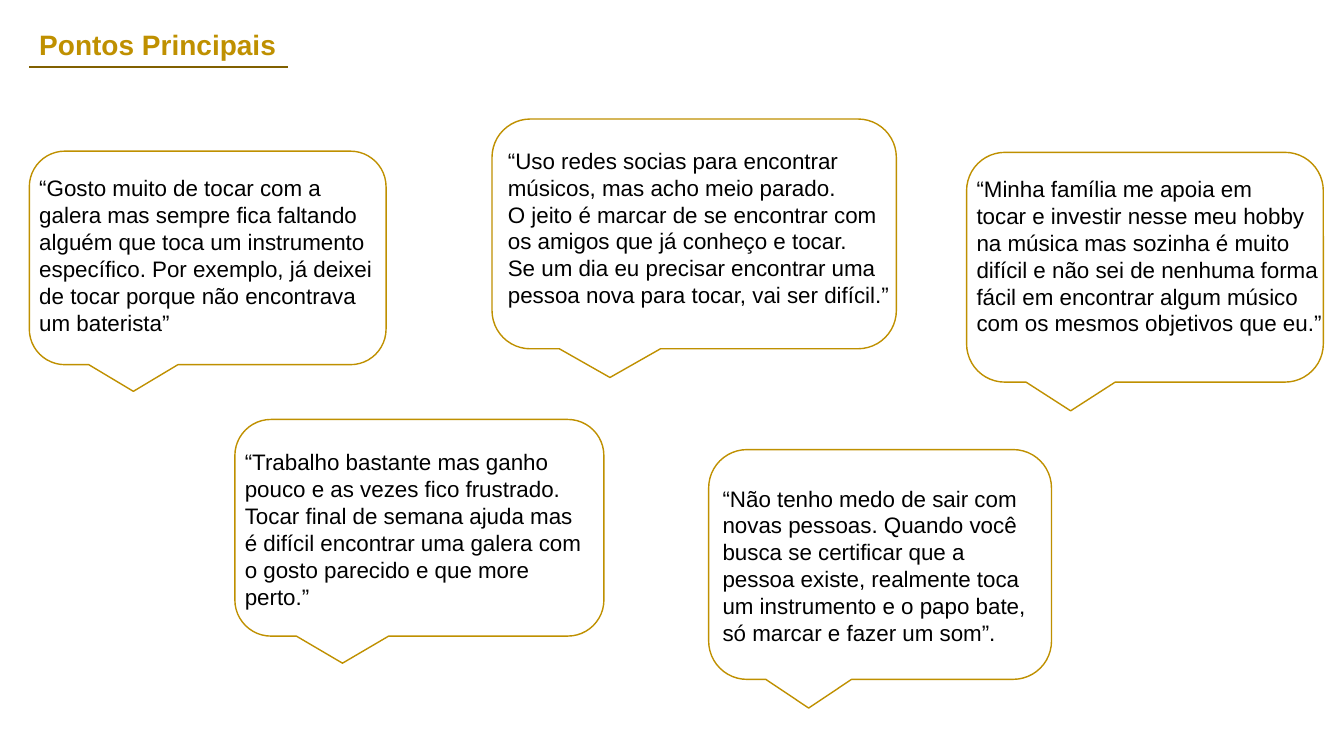
from lxml import etree
from pptx import Presentation
from pptx.dml.color import RGBColor
from pptx.enum.shapes import MSO_CONNECTOR, MSO_SHAPE
from pptx.enum.text import MSO_AUTO_SIZE
from pptx.oxml.ns import qn
from pptx.util import Cm, Pt

CALLOUT = MSO_SHAPE.ROUNDED_RECTANGULAR_CALLOUT
STRAIGHT = MSO_CONNECTOR.STRAIGHT
GROW = MSO_AUTO_SIZE.SHAPE_TO_FIT_TEXT

GOLD = "BF9000"
DARK_GOLD = "806000"
BLACK = "000000"
QUOTE_HEIGHT = 4.37

# Bubble (left, top, width, height), quote (left, top, width), wraps, text
QUOTES = [
    ((0.74, 3.81, 8.99, 5.38), (0.74, 4.27, 8.99), False,
     "“Gosto muito de tocar com a\n"
     "galera mas sempre fica faltando\n"
     "alguém que toca um instrumento\n"
     "específico. Por exemplo, já deixei\n"
     "de tocar porque não encontrava\n"
     "um baterista”"),
    ((5.92, 10.57, 9.3, 5.46), (5.92, 11.18, 9.3), True,
     "“Trabalho bastante mas ganho\n"
     "pouco e as vezes fico frustrado.\n"
     "Tocar final de semana ajuda mas\n"
     "é difícil encontrar uma galera com\n"
     "o gosto parecido e que more perto.”"),
    ((12.4, 3, 10.19, 5.79), (12.55, 3.58, 10.26), False,
     "“Uso redes socias para encontrar\n"
     "músicos, mas acho meio parado.\n"
     "O jeito é marcar de se encontrar com\n"
     "os amigos que já conheço e tocar.\n"
     "Se um dia eu precisar encontrar uma\n"
     "pessoa nova para tocar, vai ser difícil.”"),
    ((17.86, 11.33, 8.64, 5.79), (17.96, 12.09, 8.41), True,
     "“Não tenho medo de sair com novas pessoas. Quando você busca se "
     "certificar que a pessoa existe, realmente toca um instrumento e o "
     "papo bate, só marcar e fazer um som”."),
    ((24.36, 3.84, 8.99, 5.79), (24.36, 4.29, 9.58), True,
     "“Minha família me apoia em\n"
     "tocar e investir nesse meu hobby\n"
     "na música mas sozinha é muito\n"
     "difícil e não sei de nenhuma forma\n"
     "fácil em encontrar algum músico\n"
     "com os mesmos objetivos que eu.”"),
]


def color(value):
    return RGBColor.from_string(value)


class SlideBuilder:
    """Draws styled elements, measured in centimetres, on one slide."""

    font_name = "Arial"

    def __init__(self, slide):
        self.slide = slide

    def bubble(self, box):
        shape = self.slide.shapes.add_shape(CALLOUT, *map(Cm, box))
        shape.shadow.inherit = False
        shape.fill.background()
        shape.line.color.rgb = color(GOLD)
        shape.line.width = Pt(1)

    def text(self, box, content, size=16, font_color=BLACK, bold=False, wrap=True):
        text_frame = self.slide.shapes.add_textbox(*map(Cm, box)).text_frame
        text_frame.word_wrap = wrap
        text_frame.auto_size = GROW
        text_frame.text = content
        for paragraph in text_frame.paragraphs:
            for run in paragraph.runs:
                run.font.name = self.font_name
                run.font.size = Pt(size)
                run.font.bold = bold
                run.font.color.rgb = color(font_color)

    def line(self, start, end):
        connector = self.slide.shapes.add_connector(STRAIGHT, *map(Cm, start + end))
        connector.line.color.rgb = color(DARK_GOLD)
        connector.line.width = Pt(1.5)
        etree.SubElement(connector._element.spPr, qn("a:effectLst"))


def main():
    presentation = Presentation()
    presentation.slide_width = Cm(33.87)
    presentation.slide_height = Cm(19.05)
    builder = SlideBuilder(presentation.slides.add_slide(presentation.slide_layouts[6]))

    builder.text((0.74, 0.58, 6.53, 1.11), "Pontos Principais",
                 size=20, font_color=GOLD, bold=True, wrap=False)
    builder.line((0.74, 1.69), (7.27, 1.69))

    for bubble_box, quote_box, wrap, quote in QUOTES:
        builder.bubble(bubble_box)
        builder.text((*quote_box, QUOTE_HEIGHT), quote, wrap=wrap)

    presentation.save("out.pptx")


if __name__ == "__main__":
    main()
